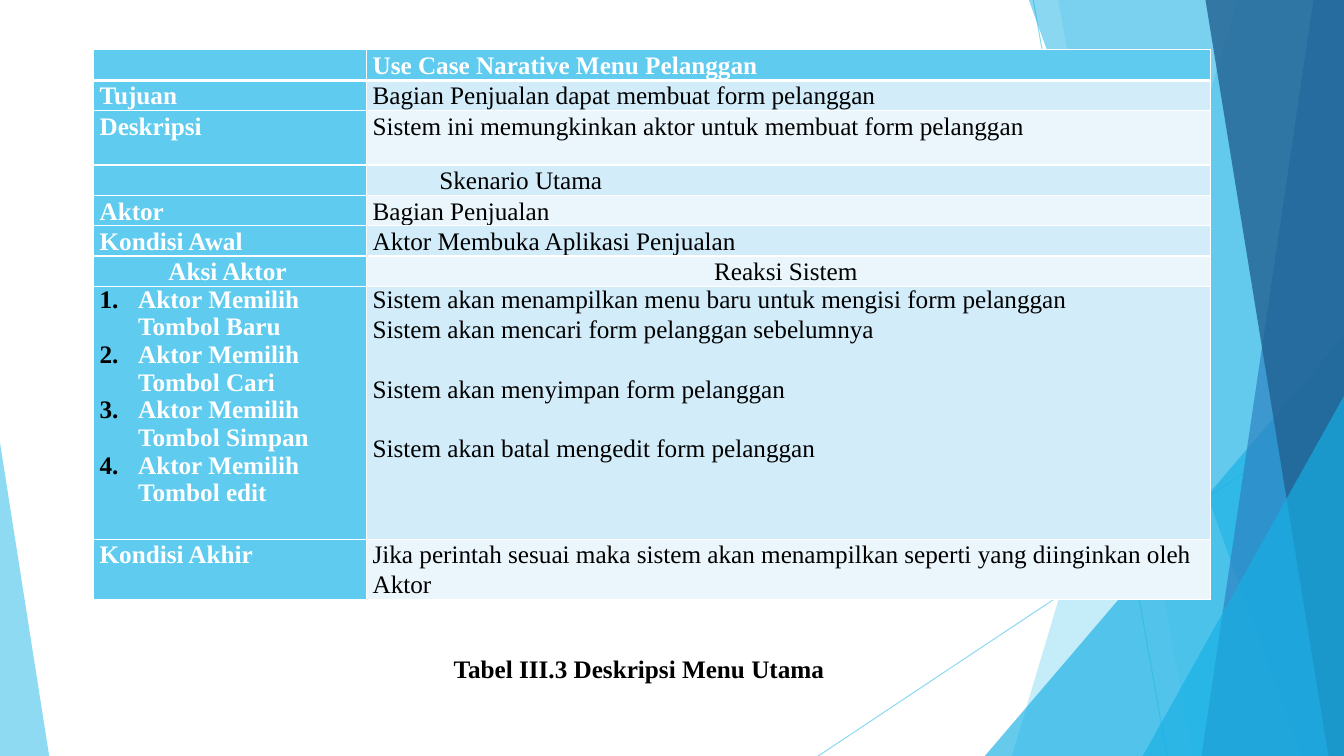
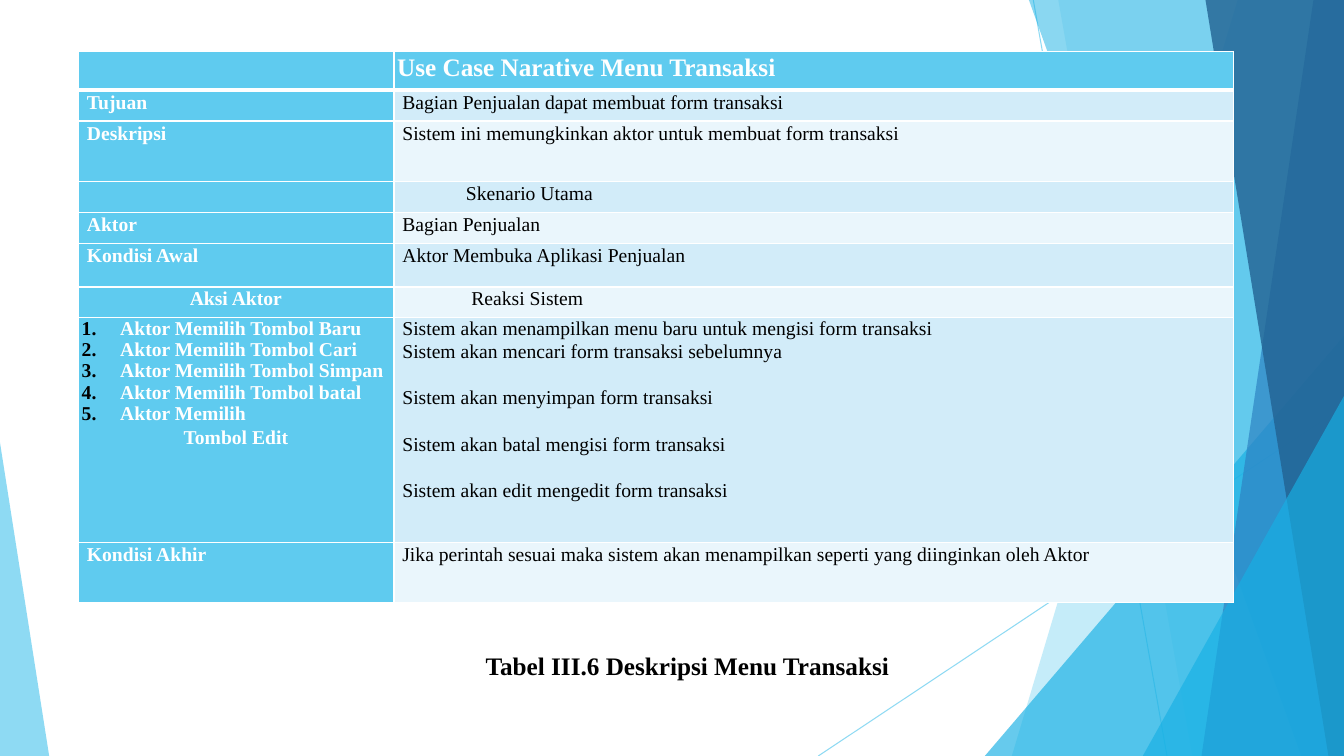
from dataclasses import dataclass

from lxml.etree import SubElement
from pptx import Presentation
from pptx.dml.color import RGBColor
from pptx.enum.shapes import MSO_CONNECTOR, MSO_SHAPE
from pptx.enum.text import PP_ALIGN
from pptx.oxml.ns import qn
from pptx.util import Cm, Pt

STRAIGHT = MSO_CONNECTOR.STRAIGHT
TRIANGLE = MSO_SHAPE.ISOSCELES_TRIANGLE
LEFT, CENTER = PP_ALIGN.LEFT, PP_ALIGN.CENTER

WIDTH, HEIGHT = 33.87, 19.05
FONT = "Times New Roman"
WHITE, BLACK = "FFFFFF", "000000"
SKY, AZURE, BLUE, NAVY = "5FCBEF", "17B0E4", "2E83C3", "226292"
BANDS = ("EAF6FC", "D2ECF9")
HEADING_SIZE = 18
NUMBER_INDENT = 0.97


@dataclass
class Ray:
    start: tuple[float, float]
    end: tuple[float, float]


@dataclass
class Panel:
    top_x: float
    bottom_x: float
    fill: str
    opacity: int


@dataclass
class Corner:
    left: float
    top: float
    width: float
    apex: float
    fill: str
    opacity: int


@dataclass
class Line:
    text: str
    indent: float | None = None
    align: int = LEFT
    spacing: float = 1.07
    gap: bool = False
    numbered: bool = False


@dataclass
class UseCase:
    subject: str
    caption: str
    caption_box: tuple[float, float, float]
    origin: tuple[float, float]
    columns: tuple[float, float]
    rows: tuple[float, ...]
    margins: tuple[float, float]
    indent: float
    scenario_indent: float
    size: int
    reaction_heading: Line
    steps: list[Line]
    reactions: list[Line]


BACKDROP = (
    Ray((26.04, 0), (29.41, HEIGHT)),
    Ray((WIDTH, 10.24), (20.62, HEIGHT)),
    Panel(31.19, 25.5, SKY, 36),
    Panel(26.67, 30.05, SKY, 20),
    Corner(24.82, 8.46, 9.05, 1, AZURE, 66),
    Panel(25.93, 32.79, AZURE, 50),
    Panel(33.1, 30.28, BLUE, 70),
    Panel(30.38, 33.48, NAVY, 80),
    Corner(28.8, 9.98, 5.07, 1, AZURE, 66),
    Corner(0, 11.15, 1.24, 0, SKY, 70),
)


def steps(*buttons: str) -> list[Line]:
    return [Line(f"Aktor Memilih{button}", NUMBER_INDENT, spacing=0.99, numbered=True)
            for button in buttons]


def reactions(first: str, second: str, *others: str) -> list[Line]:
    return [Line(first, spacing=0.99), Line(second),
            *(Line(text, gap=True) for text in others)]


USE_CASES = (
    UseCase(
        subject="pelanggan",
        caption="Tabel III.3 Deskripsi Menu Utama",
        caption_box=(11.18, 16.33, 10.26),
        origin=(2.36, 1.25),
        columns=(6.88, 21.26),
        rows=(0.76, 0.76, 1.37, 0.76, 0.76, 0.76, 0.76, 6.38, 1.52),
        margins=(0.15, 0.28),
        indent=0,
        scenario_indent=1.68,
        size=18,
        reaction_heading=Line("Reaksi Sistem", align=CENTER),
        steps=steps(" Tombol Baru", " Tombol Cari", " Tombol Simpan", " Tombol edit"),
        reactions=reactions(
            "Sistem akan menampilkan menu baru untuk mengisi form pelanggan",
            "Sistem akan mencari form pelanggan sebelumnya",
            "Sistem akan menyimpan form pelanggan",
            "Sistem akan batal mengedit form pelanggan",
        ),
    ),
    UseCase(
        subject="transaksi",
        caption="Tabel III.6 Deskripsi Menu Transaksi",
        caption_box=(11.99, 16.26, 11.07),
        origin=(1.98, 1.3),
        columns=(7.95, 21.16),
        rows=(0.97, 0.78, 1.52, 0.78, 0.78, 1.1, 0.78, 5.66, 1.52),
        margins=(0.08, 0.1),
        indent=0.13,
        scenario_indent=1.73,
        size=14,
        reaction_heading=Line("Reaksi Sistem", 1.87),
        steps=[
            *steps(" Tombol Baru", " Tombol Cari", " Tombol Simpan", " Tombol batal", ""),
            Line("Tombol Edit", 0, CENTER),
        ],
        reactions=reactions(
            "Sistem akan menampilkan menu baru untuk mengisi form transaksi",
            "Sistem akan mencari form transaksi sebelumnya",
            "Sistem akan menyimpan form transaksi",
            "Sistem akan batal mengisi form transaksi",
            "Sistem akan edit mengedit form transaksi",
        ),
    ),
)


def colour(value: str) -> RGBColor:
    return RGBColor.from_string(value)


def set_opacity(shape, percent: int) -> None:
    for node in shape.element.iter(qn("a:srgbClr")):
        SubElement(node, qn("a:alpha")).set("val", str(percent * 1000))


def paint(shape, fill: str, opacity: int) -> None:
    shape.shadow.inherit = False
    shape.fill.solid()
    shape.fill.fore_color.rgb = colour(fill)
    shape.line.fill.background()
    set_opacity(shape, opacity)


def draw_ray(page, ray: Ray) -> None:
    ends = [Cm(value) for value in (*ray.start, *ray.end)]
    connector = page.shapes.add_connector(STRAIGHT, *ends)
    connector.line.color.rgb = colour(SKY)
    connector.line.width = Pt(0.75)
    set_opacity(connector, 70)
    SubElement(connector.element.spPr, qn("a:effectLst"))


def draw_panel(page, panel: Panel) -> None:
    outline = page.shapes.build_freeform(Cm(panel.top_x), 0)
    corners = ((WIDTH, 0), (WIDTH, HEIGHT), (panel.bottom_x, HEIGHT))
    outline.add_line_segments([(Cm(x), Cm(y)) for x, y in corners])
    paint(outline.convert_to_shape(), panel.fill, panel.opacity)


def draw_corner(page, corner: Corner) -> None:
    shape = page.shapes.add_shape(TRIANGLE, Cm(corner.left), Cm(corner.top),
                                  Cm(corner.width), Cm(HEIGHT - corner.top))
    shape.adjustments[0] = corner.apex
    paint(shape, corner.fill, corner.opacity)


def draw_backdrop(page) -> None:
    painters = {Ray: draw_ray, Panel: draw_panel, Corner: draw_corner}
    for piece in BACKDROP:
        painters[type(piece)](page, piece)


def style_para(para, size: int, color: str, bold: bool) -> None:
    for span in para.runs:
        span.font.name = FONT
        span.font.size = Pt(size)
        span.font.bold = bold
        span.font.color.rgb = colour(color)


def number_para(para) -> None:
    properties = para._p.get_or_add_pPr()
    properties.set("indent", str(-Cm(NUMBER_INDENT)))
    bullet_colour = SubElement(properties, qn("a:buClr"))
    SubElement(bullet_colour, qn("a:srgbClr")).set("val", BLACK)
    SubElement(properties, qn("a:buAutoNum")).set("type", "arabicPeriod")


def draw_border(cell, row: int) -> None:
    widths = {"L": 1, "R": 1, "T": 3 if row == 1 else 1, "B": 3 if row == 0 else 1}
    for side, width in widths.items():
        edge = SubElement(cell._tc.get_or_add_tcPr(), qn(f"a:ln{side}"))
        edge.set("w", str(Pt(width)))
        fill = SubElement(edge, qn("a:solidFill"))
        SubElement(fill, qn("a:srgbClr")).set("val", WHITE)


def fill_cell(cell, lines: list[Line], case: UseCase, row: int, column: int) -> None:
    heading = row == 0
    accent = heading or column == 0
    size = HEADING_SIZE if heading else case.size
    draw_border(cell, row)
    cell.fill.solid()
    cell.fill.fore_color.rgb = colour(SKY if accent else BANDS[row % 2])
    cell.margin_left, cell.margin_right = (Cm(margin) for margin in case.margins)
    cell.margin_top = cell.margin_bottom = 0
    cell.text_frame.text = "\n".join(line.text for line in lines)
    for line, para in zip(lines, cell.text_frame.paragraphs):
        indent = case.indent if line.indent is None else line.indent
        para.alignment = line.align
        para.line_spacing = line.spacing
        if line.gap:
            para.space_before = Pt(round(size * 1.19, 1))
        para._p.get_or_add_pPr().set("marL", str(Cm(indent)))
        if line.numbered:
            number_para(para)
        style_para(para, size, WHITE if accent else BLACK, accent)


def table_rows(case: UseCase) -> list[tuple[list[Line], list[Line]]]:
    subject = case.subject
    return [
        ([], [Line(f"Use Case Narative Menu {subject.title()}", 0)]),
        ([Line("Tujuan")], [Line(f"Bagian Penjualan dapat membuat form {subject}")]),
        ([Line("Deskripsi")],
         [Line(f"Sistem ini memungkinkan aktor untuk membuat form {subject}")]),
        ([], [Line("Skenario Utama", case.scenario_indent)]),
        ([Line("Aktor")], [Line("Bagian Penjualan")]),
        ([Line("Kondisi Awal")], [Line("Aktor Membuka Aplikasi Penjualan")]),
        ([Line("Aksi Aktor", 0, CENTER)], [case.reaction_heading]),
        (case.steps, case.reactions),
        ([Line("Kondisi Akhir")],
         [Line("Jika perintah sesuai maka sistem akan menampilkan seperti "
               "yang diinginkan oleh Aktor")]),
    ]


def draw_table(page, case: UseCase) -> None:
    left, top = case.origin
    table = page.shapes.add_table(len(case.rows), len(case.columns), Cm(left), Cm(top),
                                  Cm(sum(case.columns)), Cm(sum(case.rows))).table
    for column, width in zip(table.columns, case.columns):
        column.width = Cm(width)
    for row, height in zip(table.rows, case.rows):
        row.height = Cm(height)
    for row, cells in enumerate(table_rows(case)):
        for column, lines in enumerate(cells):
            fill_cell(table.cell(row, column), lines, case, row, column)


def draw_caption(page, case: UseCase) -> None:
    left, top, width = case.caption_box
    box = page.shapes.add_textbox(Cm(left), Cm(top), Cm(width), Cm(1.02))
    box.text_frame.text = case.caption
    style_para(box.text_frame.paragraphs[0], HEADING_SIZE, BLACK, True)


def main() -> None:
    deck = Presentation()
    deck.slide_width, deck.slide_height = Cm(WIDTH), Cm(HEIGHT)
    for case in USE_CASES:
        page = deck.slides.add_slide(deck.slide_layouts[6])
        draw_backdrop(page)
        draw_table(page, case)
        draw_caption(page, case)
    deck.save("out.pptx")


if __name__ == "__main__":
    main()
